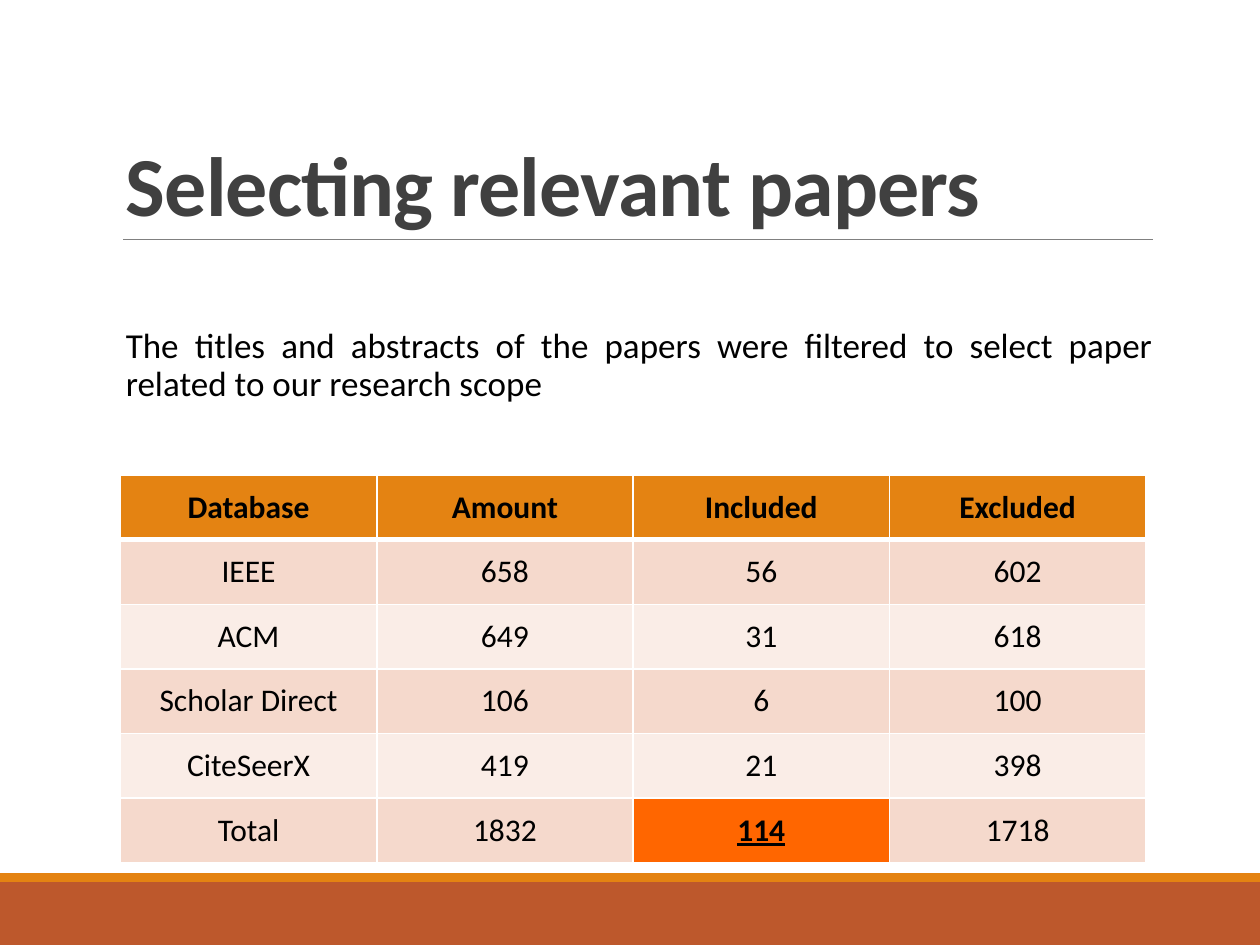
from lxml.etree import SubElement
from pptx import Presentation
from pptx.dml.color import RGBColor
from pptx.enum.shapes import MSO_CONNECTOR as Connector, MSO_SHAPE as Shape
from pptx.enum.text import MSO_ANCHOR as Anchor, PP_ALIGN as Align
from pptx.oxml.ns import qn
from pptx.util import Pt

ORANGE, RUST, WHITE, BLACK = "E48312", "BD582C", "FFFFFF", "000000"
BANDS = ("F5D9CC", "FAEDE7")
HIGHLIGHT = "FF6600"
ROWS = [
    ("Database", "Amount", "Included", "Excluded"),
    ("IEEE", "658", "56", "602"),
    ("ACM", "649", "31", "618"),
    ("Scholar Direct", "106", "6", "100"),
    ("CiteSeerX", "419", "21", "398"),
    ("Total", "1832", "114", "1718"),
]
TOTAL_INCLUDED = (len(ROWS) - 1, 2)


def color(value):
    return RGBColor.from_string(value)


def apply(target, values):
    """Set every attribute named in values on target."""
    for name, value in values.items():
        setattr(target, name, value)


class SlideBuilder:
    font_name = "Calibri"

    def __init__(self, page):
        self.page = page

    def add_span(self, para, text, ink, font, layout):
        span = para.add_run()
        span.text = text
        apply(para, layout)
        apply(span.font, {"name": self.font_name, **font})
        span.font.color.rgb = color(ink)
        return span

    def band(self, left, top, width, height, fill):
        bar = self.page.shapes.add_shape(
            Shape.RECTANGLE, Pt(left), Pt(top), Pt(width), Pt(height))
        bar.shadow.inherit = False
        bar.fill.solid()
        bar.fill.fore_color.rgb = color(fill)
        bar.line.fill.background()

    def rule(self, left, right, top, ink, width):
        line = self.page.shapes.add_connector(
            Connector.STRAIGHT, Pt(left), Pt(top), Pt(right), Pt(top))
        line.line.color.rgb = color(ink)
        line.line.width = Pt(width)
        SubElement(line._element.spPr, qn("a:effectLst"))

    def text(self, left, top, width, height, text, ink, font, layout, frame):
        box = self.page.shapes.add_textbox(Pt(left), Pt(top), Pt(width), Pt(height))
        apply(box.text_frame, {"word_wrap": True, **frame})
        return self.add_span(box.text_frame.paragraphs[0], text, ink, font, layout)

    def border(self, cell, side, width):
        """Draw a white line on one side (L, R, T or B) of a cell."""
        line = SubElement(cell._tc.get_or_add_tcPr(), qn(f"a:ln{side}"), w=str(Pt(width)))
        fill = SubElement(line, qn("a:solidFill"))
        SubElement(fill, qn("a:srgbClr"), val=WHITE)

    def table(self, left, top, width, height, rows, highlight):
        table = self.page.shapes.add_table(
            len(rows), len(rows[0]), Pt(left), Pt(top), Pt(width), Pt(height)).table
        for r, row in enumerate(rows):
            for c, text in enumerate(row):
                cell = table.cell(r, c)
                header, marked = r == 0, (r, c) == highlight
                widths = {"L": 1, "R": 1, "T": 3 if r == 1 else 1, "B": 3 if header else 1}
                for side, line_width in widths.items():
                    self.border(cell, side, line_width)
                cell.fill.solid()
                fill = ORANGE if header else HIGHLIGHT if marked else BANDS[(r - 1) % 2]
                cell.fill.fore_color.rgb = color(fill)
                cell.vertical_anchor = Anchor.MIDDLE
                font = {"size": Pt(18), "bold": header or marked, "underline": marked}
                self.add_span(cell.text_frame.paragraphs[0], text, BLACK, font,
                              {"alignment": Align.CENTER})


def main():
    deck = Presentation()
    apply(deck, {"slide_width": Pt(720), "slide_height": Pt(540)})
    builder = SlideBuilder(deck.slides.add_slide(deck.slide_layouts[6]))

    builder.band(0, 504, 720, 36, RUST)
    builder.band(0, 499, 720, 5, ORANGE)
    builder.rule(70.5, 659, 136.8, "808080", 0.5)
    title = builder.text(
        64.8, 22.3, 594, 114.5, "Selecting relevant papers", "404040",
        {"size": Pt(48), "bold": True}, {"line_spacing": 0.85},
        {"vertical_anchor": Anchor.BOTTOM})
    title.font._element.set("spc", "-50")
    builder.text(
        64.8, 184, 594, 60,
        "The titles and abstracts of the papers were filtered to select paper "
        "related to our research scope",
        BLACK, {"size": Pt(20)}, {"alignment": Align.JUSTIFY, "line_spacing": 0.9},
        {"margin_right": 0})
    builder.table(68.8, 271.6, 586, 221.4, ROWS, TOTAL_INCLUDED)
    deck.save("out.pptx")


if __name__ == "__main__":
    main()
